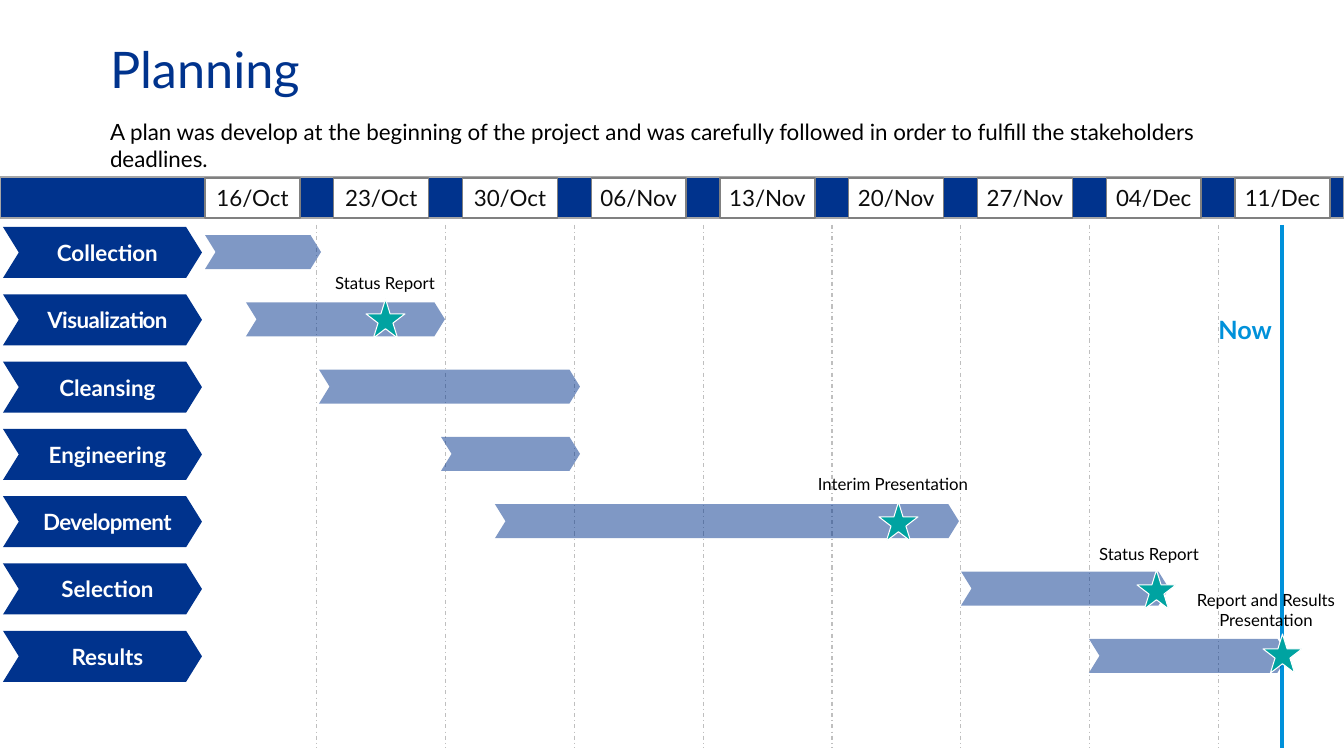
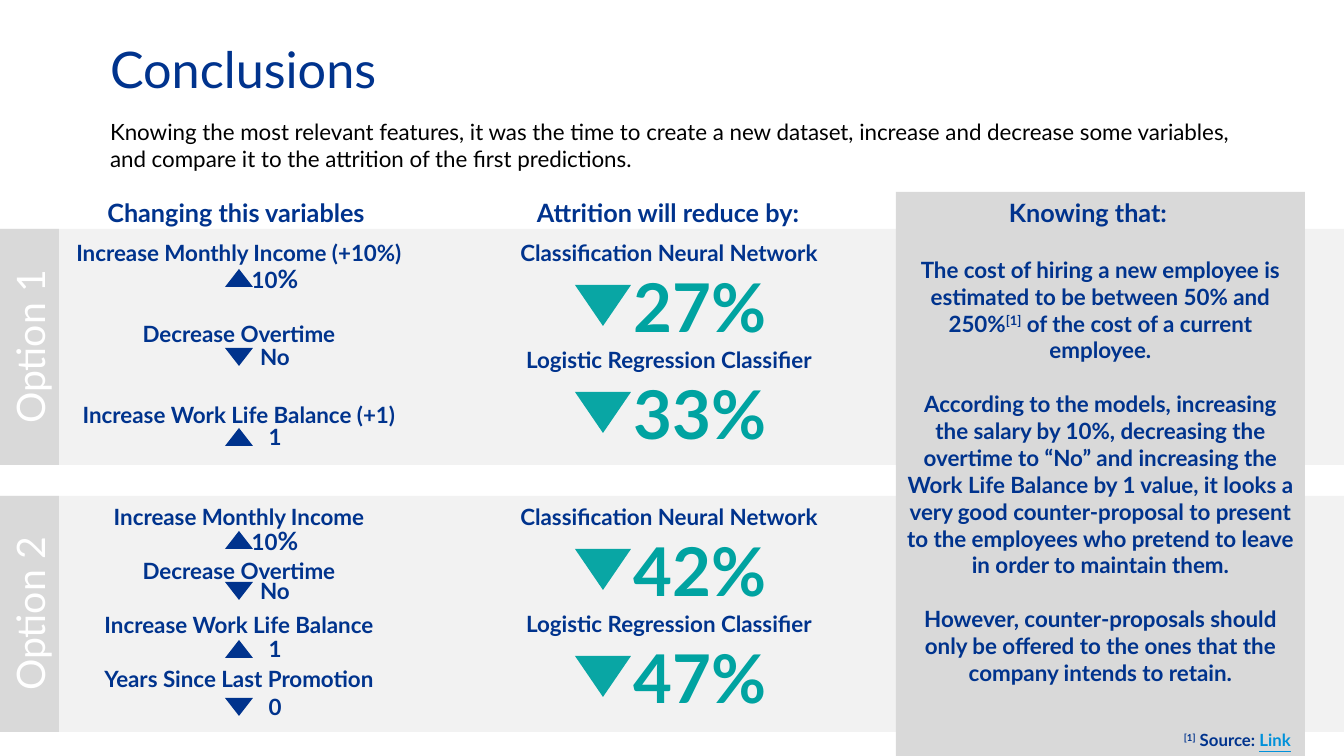
from dataclasses import dataclass

from lxml.etree import SubElement
from pptx import Presentation
from pptx.dml.color import RGBColor
from pptx.enum.dml import MSO_LINE
from pptx.enum.shapes import MSO_CONNECTOR, MSO_SHAPE
from pptx.enum.text import MSO_ANCHOR, MSO_AUTO_SIZE, PP_ALIGN
from pptx.oxml.ns import qn
from pptx.util import Emu, Pt


@dataclass(frozen=True)
class Theme:
    font: str = "Lato"
    navy: str = "00338D"
    sky: str = "0091DA"
    teal: str = "00A3A1"
    teal_arrow: str = "09A6A4"
    black: str = "000000"
    ink: str = "0D0D0D"
    white: str = "FFFFFF"
    band: str = "F2F2F2"
    panel: str = "D9D9D9"
    grid: str = "BFBFBF"
    header_line: str = "A6A6A6"
    date_line: str = "808080"
    title: int = 36
    figure: int = 48
    tab: int = 28
    heading: int = 18
    body: int = 16
    caption: int = 12


theme = Theme()
PX = 914400 / 100.8  # EMU in one px
WIDTH, HEIGHT = 1344, 756
NO_MARGINS = (0, 0, 0, 0)


def add_box(page, kind, box, fill=None, line=None, weight=1):
    """Add a preset shape, or a text box when kind is None."""
    area = [Emu(round(length * PX)) for length in box]
    if kind is None:
        return page.shapes.add_textbox(*area)
    shape = page.shapes.add_shape(kind, *area)
    shape.shadow.inherit = False
    shape.fill.solid()
    shape.fill.fore_color.rgb = RGBColor.from_string(fill)
    if line:
        shape.line.color.rgb = RGBColor.from_string(line)
        shape.line.width = Pt(weight)
    else:
        shape.line.fill.background()
    return shape


def write(shape, paragraphs, size, color, bold=False, align=PP_ALIGN.CENTER,
          anchor=MSO_ANCHOR.MIDDLE, margins=(10, 5, 10, 5), after=0):
    """Fill a shape with paragraphs, each a list of run texts; return the runs."""
    frame = shape.text_frame
    frame.word_wrap = True
    frame.auto_size = MSO_AUTO_SIZE.NONE
    frame.vertical_anchor = anchor
    (frame.margin_left, frame.margin_top,
     frame.margin_right, frame.margin_bottom) = [Emu(round(m * PX)) for m in margins]
    spans = []
    for number, texts in enumerate(paragraphs):
        para = frame.add_paragraph() if number else frame.paragraphs[0]
        para.alignment = align
        para.space_before = Pt(0)
        para.space_after = Pt(after)
        for text in texts:
            span = para.add_run()
            span.text = text
            span.font.name = theme.font
            span.font.size = Pt(size)
            span.font.bold = bold
            span.font.color.rgb = RGBColor.from_string(color)
            spans.append(span)
    return spans


deck = Presentation()
deck.slide_width = Emu(round(WIDTH * PX))
deck.slide_height = Emu(round(HEIGHT * PX))

# Both pages: title and introduction
openings = [
    ("Planning",
     "A plan was develop at the beginning of the project and was carefully followed "
     "in order to fulfill the stakeholders deadlines."),
    ("Conclusions",
     "Knowing the most relevant features, it was the time to create a new dataset, "
     "increase and decrease some variables, and compare it to the attrition of the "
     "first predictions."),
]
pages = []
for title, introduction in openings:
    page = deck.slides.add_slide(deck.slide_layouts[1])
    heading, body = page.shapes.title, page.placeholders[1]
    for holder, box in ((heading, (110, 47, 1124, 58)), (body, (110, 118, 1125, 54))):
        holder.left, holder.top, holder.width, holder.height = [
            Emu(round(length * PX)) for length in box]
    write(heading, [[title]], theme.title, theme.navy,
          align=PP_ALIGN.LEFT, margins=NO_MARGINS)
    heading.text_frame.paragraphs[0].line_spacing = 0.7
    write(body, [[introduction]], theme.body, theme.black, align=PP_ALIGN.LEFT,
          anchor=MSO_ANCHOR.TOP, margins=NO_MARGINS, after=6)
    properties = body.text_frame.paragraphs[0]._p.get_or_add_pPr()
    properties.set("marL", "0")
    properties.set("indent", "0")
    SubElement(properties, qn("a:buNone"))
    pages.append(page)
planning, conclusions = pages

# Planning: week header
WEEK = 128.75
add_box(planning, MSO_SHAPE.RECTANGLE, (0, 177, WIDTH, 41), theme.navy, theme.header_line)
dates = ["16/Oct", "23/Oct", "30/Oct", "06/Nov", "13/Nov",
         "20/Nov", "27/Nov", "04/Dec", "11/Dec"]
for number, date in enumerate(dates):
    box = add_box(planning, MSO_SHAPE.RECTANGLE, (205 + number * WEEK, 178, 95, 40),
                  theme.white, theme.date_line)
    write(box, [[date]], theme.body, theme.ink, margins=(4, 5, 4, 5))

# Planning: week lines and the line for today
NOW = 1282
lines = [(317 + number * WEEK, theme.grid, 0.75, MSO_LINE.DASH_DOT) for number in range(8)]
lines.append((NOW, theme.sky, 2.25, MSO_LINE.SOLID))
for x, color, weight, dash in lines:
    line = planning.shapes.add_connector(
        MSO_CONNECTOR.STRAIGHT,
        *[Emu(round(length * PX)) for length in (x, 225, x, 748)])
    line.line.color.rgb = RGBColor.from_string(color)
    line.line.width = Pt(weight)
    line.line.dash_style = dash
    SubElement(line._element.spPr, qn("a:effectLst"))
now_label = add_box(planning, None, (NOW - 128, 309, 128, 40))
write(now_label, [["Now"]], theme.heading, theme.sky, True, PP_ALIGN.RIGHT)

# Planning: stages (name, bar left, bar width, letter spacing)
stages = [
    ("Collection", 205, 116, 0),
    ("Visualization", 246, 199, -40),
    ("Cleansing", 319, 261, 0),
    ("Engineering", 441, 139, 0),
    ("Development", 495, 464, -40),
    ("Selection", 961, 208, 0),
    ("Results", 1089, 199, 0),
]
for number, (name, left, width, spacing) in enumerate(stages):
    top = 227 + number * 67.3
    label = add_box(planning, MSO_SHAPE.CHEVRON, (3, top, 199, 51), theme.navy)
    bar = add_box(planning, MSO_SHAPE.CHEVRON, (left, top + 8, width, 34), theme.navy)
    for chevron in (label, bar):
        chevron.adjustments[0] = 0.31
    for span in write(label, [[name]], theme.body, theme.white, True, margins=(10, 5, 0, 5)):
        span._r.get_or_add_rPr().set("spc", str(spacing))
    color = bar._element.spPr.find(qn("a:solidFill")).find(qn("a:srgbClr"))
    SubElement(color, qn("a:alpha")).set("val", "50000")

# Planning: milestones (caption, caption middle, top, height, star left, star top)
milestones = [
    ("Status Report", 385, 268, 30, 366, 299),
    ("Interim Presentation", 893, 469, 30, 879, 502),
    ("Status Report", 1149, 539, 30, 1137, 570),
    ("Report and Results Presentation", 1266, 585, 50, 1263, 634),
]
for caption, middle, top, height, star_left, star_top in milestones:
    box = add_box(planning, None, (middle - 78, top, 156, height))
    write(box, [[caption]], theme.caption, theme.black, margins=(0, 5, 0, 5))
    add_box(planning, MSO_SHAPE.STAR_5_POINT, (star_left, star_top, 39, 39),
            theme.teal, theme.white, 0.75)

# Conclusions: options (name, band top, first label, label pitch, changes, reductions)
# A change is its label, arrow top, whether it rises, and its value
options = [
    ("Option 1", 229, 252, 81, [
        ("Increase Monthly Income (+10%)", 269, True, ["10", "%"]),
        ("Decrease Overtime", 348, False, ["No"]),
        ("Increase Work Life Balance (+1)", 428, True, ["1"]),
    ], ["27%", "33%"]),
    ("Option 2", 496, 516, 54, [
        ("Increase Monthly Income", 531, True, ["10", "%"]),
        ("Decrease Overtime", 582, False, ["No"]),
        ("Increase Work Life Balance", 640, True, ["1"]),
        ("Years Since Last Promotion", 698, False, ["0"]),
    ], ["42%", "47%"]),
]
models = ["Classification Neural Network", "Logistic Regression Classifier"]
for name, top, first, pitch, changes, reductions in options:
    add_box(conclusions, MSO_SHAPE.RECTANGLE, (0, top, WIDTH, 236), theme.band)
    tab = add_box(conclusions, MSO_SHAPE.RECTANGLE, (0, top, 59, 236), theme.panel)
    write(tab, [[name]], theme.tab, theme.white, anchor=MSO_ANCHOR.TOP, margins=(6, 6, 6, 6))
    tab.text_frame._txBody.bodyPr.set("vert", "vert270")

    for number, (label, arrow_top, rises, value) in enumerate(changes):
        box = add_box(conclusions, None, (59, first + number * pitch - 13, 360, 27))
        write(box, [[label]], theme.body, theme.navy, True, margins=NO_MARGINS)
        arrow = add_box(conclusions, MSO_SHAPE.ISOSCELES_TRIANGLE,
                        (225, arrow_top, 28, 18), theme.navy)
        if not rises:
            arrow._element.spPr.xfrm.set("flipV", "1")
        box = add_box(conclusions, None, (235, arrow_top - 6, 80, 30))
        spans = write(box, [value], theme.body, theme.navy, True, margins=NO_MARGINS)
        for percent in spans[1:]:
            percent.font.size = Pt(theme.heading)

    for number, (model, reduction) in enumerate(zip(models, reductions)):
        middle = first + number * 107
        box = add_box(conclusions, None, (489, middle - 13, 360, 27))
        write(box, [[model]], theme.body, theme.navy, True, margins=NO_MARGINS)
        arrow = add_box(conclusions, MSO_SHAPE.ISOSCELES_TRIANGLE,
                        (575, middle + 33, 56, 41), theme.teal_arrow)
        arrow._element.spPr.xfrm.set("flipV", "1")
        box = add_box(conclusions, None, (610, middle + 14, 180, 80))
        write(box, [[reduction]], theme.figure, theme.teal, True, margins=NO_MARGINS)

# Conclusions: side panel and column headings
add_box(conclusions, MSO_SHAPE.RECTANGLE, (896, 192, 409, 564), theme.panel)
headings = [("Changing this variables", 236), ("Attrition will reduce by:", 668),
            ("Knowing that:", 1088)]
for heading, middle in headings:
    box = add_box(conclusions, None, (middle - 160, 192, 320, 40))
    write(box, [[heading]], theme.heading, theme.navy, True)

# Conclusions: argument and source
argument = add_box(conclusions, None, (896, 251, 409, 472))
argument_spans = write(argument, [
    ["The cost of hiring a new employee is estimated to be between 50% and 250%",
     "[1]", " of the cost of a current employee."],
    ["According to the models, increasing the salary by 10%, decreasing the overtime "
     "to “No” and increasing the Work Life Balance by 1 value, it looks a very good "
     "counter-proposal to present to the employees who pretend to leave in order to "
     "maintain them."],
    ["However, counter-proposals should only be offered to the ones that the company "
     "intends to retain."],
], theme.body, theme.navy, True, anchor=MSO_ANCHOR.TOP, after=19.2)
source = add_box(conclusions, None, (1174, 725, 140, 30))
source_spans = write(source, [["[1]", " Source: ", "Link"]], theme.caption, theme.navy,
                     True, PP_ALIGN.LEFT)
for mark in (argument_spans[1], source_spans[0]):
    mark._r.get_or_add_rPr().set("baseline", "30000")
source_spans[2].font.color.rgb = RGBColor.from_string(theme.sky)
source_spans[2].font.underline = True

deck.save("out.pptx")
